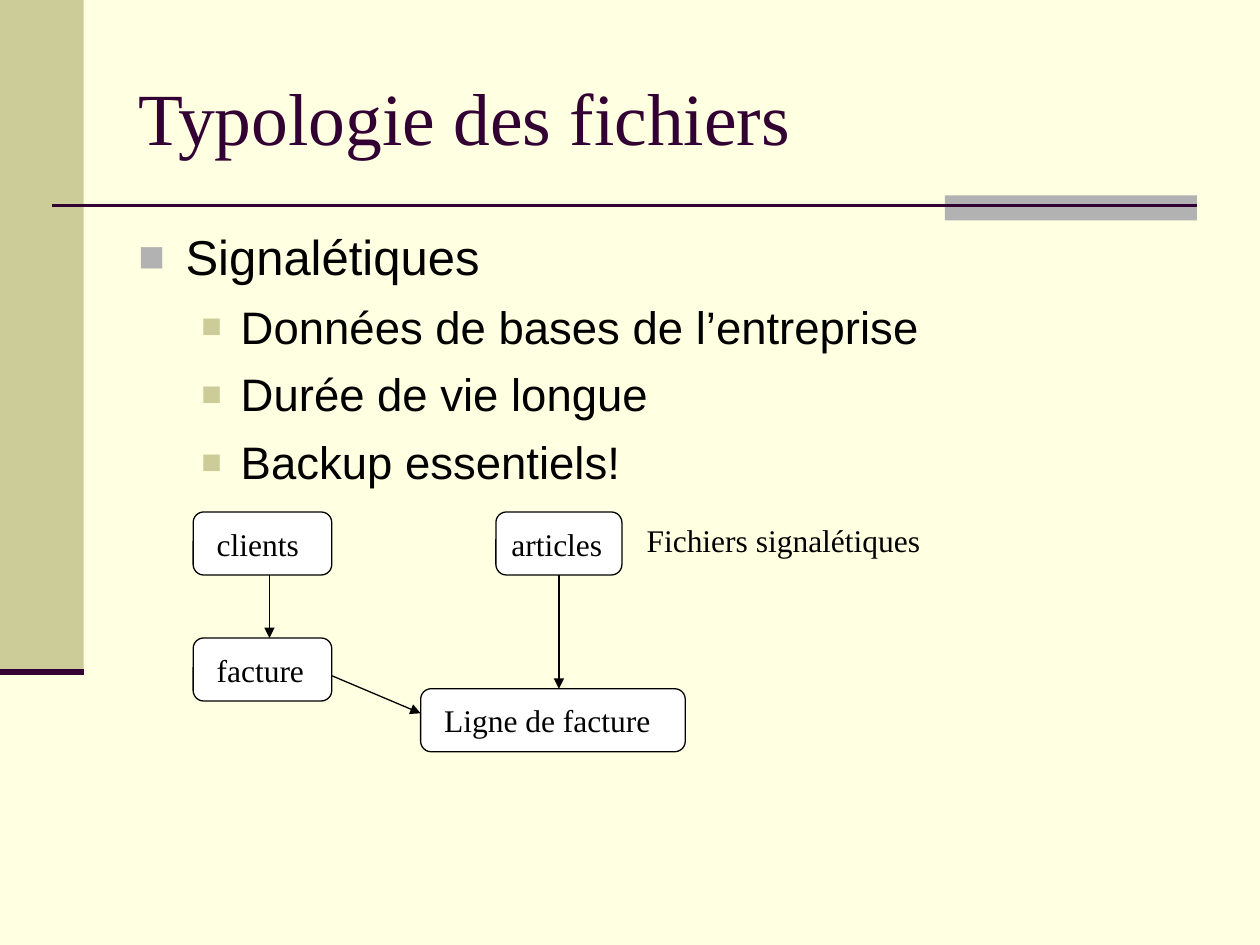
from dataclasses import dataclass

from lxml.etree import SubElement
from pptx import Presentation
from pptx.dml.color import RGBColor
from pptx.enum.shapes import MSO_CONNECTOR as Connector, MSO_SHAPE as Shape
from pptx.enum.text import MSO_ANCHOR as Anchor
from pptx.oxml.ns import qn
from pptx.util import Pt


@dataclass(frozen=True)
class Theme:
    background: str = "FFFFE1"
    olive: str = "CCCC99"
    grey: str = "B2B2B2"
    plum: str = "330033"
    black: str = "000000"
    white: str = "FFFFFF"
    serif: str = "Times New Roman"
    sans: str = "Arial"
    title_size: float = 42
    topic_size: float = 28
    point_size: float = 26
    label_size: float = 18


THEME = Theme()


def color(value):
    return RGBColor.from_string(value)


def add_block(slide, box, fill, line=None, preset=Shape.RECTANGLE):
    shape = slide.shapes.add_shape(preset, *map(Pt, box))
    shape.shadow.inherit = False
    shape.fill.solid()
    shape.fill.fore_color.rgb = color(fill)
    if line:
        shape.line.color.rgb = color(line)
        shape.line.width = Pt(0.75)
    else:
        shape.line.fill.background()
    return shape


def add_line(slide, start, end, line, width, arrow=False):
    connector = slide.shapes.add_connector(Connector.STRAIGHT, *map(Pt, (*start, *end)))
    connector.line.color.rgb = color(line)
    connector.line.width = Pt(width)
    if arrow:
        SubElement(connector.line._get_or_add_ln(), qn("a:tailEnd"), type="triangle")
    SubElement(connector._element.spPr, qn("a:effectLst"))
    return connector


def add_frame(slide, box):
    frame = slide.shapes.add_textbox(*map(Pt, box)).text_frame
    frame.word_wrap = True
    return frame


def write(paragraph, text, *, size, font=THEME.serif, ink=THEME.black, before=0):
    paragraph.text = text
    paragraph.space_before = Pt(before)
    paragraph.font.size = Pt(size)
    paragraph.font.name = font
    paragraph.font.color.rgb = color(ink)


def set_bullet(paragraph, ink, percent, margin, hanging):
    properties = paragraph._p.get_or_add_pPr()
    properties.set("marL", str(Pt(margin)))
    properties.set("indent", str(-Pt(hanging)))
    bullet_color = SubElement(properties, qn("a:buClr"))
    SubElement(bullet_color, qn("a:srgbClr"), val=ink)
    SubElement(properties, qn("a:buSzPct"), val=str(percent * 1000))
    SubElement(properties, qn("a:buFont"), typeface=THEME.sans)
    SubElement(properties, qn("a:buChar"), char="■")


def draw_decoration(slide, box):
    """Side band, title rule and grey accent."""
    left, top, width, height = box
    band_bottom = top + 384
    rule = top + 117.4
    add_block(slide, (left, top, 47.8, band_bottom - top), THEME.olive)
    add_block(slide, (left + width - 180, top + 111.6, 144, 14.4), THEME.grey)
    add_line(slide, (left + 30, rule), (left + width - 36, rule), THEME.plum, 1.5)
    add_line(slide, (left, band_bottom), (left + 48, band_bottom), THEME.plum, 3.5)


def draw_title(slide, box):
    frame = add_frame(slide, box)
    frame.vertical_anchor = Anchor.MIDDLE
    write(frame.paragraphs[0], "Typologie des fichiers", size=THEME.title_size, ink=THEME.plum)


def draw_outline(slide, box, topic, points):
    frame = add_frame(slide, box)
    heading = frame.paragraphs[0]
    set_bullet(heading, THEME.grey, 90, 27, 27)
    write(heading, topic, size=THEME.topic_size, font=THEME.sans)
    for point in points:
        paragraph = frame.add_paragraph()
        paragraph.level = 1
        set_bullet(paragraph, THEME.olive, 75, 58.5, 22.5)
        write(paragraph, point, size=THEME.point_size, font=THEME.sans, before=7.5)


def draw_file(slide, box, name, inset):
    shape = add_block(slide, box, THEME.white, THEME.black, Shape.ROUNDED_RECTANGLE)
    frame = shape.text_frame
    frame.word_wrap = False
    frame.vertical_anchor = Anchor.MIDDLE
    frame.margin_left = Pt(inset)
    write(frame.paragraphs[0], name, size=THEME.label_size)
    frame.paragraphs[0].alignment = 1
    return shape


def draw_file_diagram(slide, box):
    left, top, width, height = box
    file_height = 36
    invoice_top = top + 72
    line_left, line_top = left + 130, top + height - file_height
    articles_left, articles_width = left + 173, 72
    draw_file(slide, (line_left, line_top, 151.2, file_height), "Ligne de facture", 11.7)
    draw_file(slide, (left, invoice_top, 79.2, file_height), "facture", 11.7)
    draw_file(slide, (left, top, 79.2, file_height), "clients", 11.7)
    articles = draw_file(
        slide, (articles_left, top, articles_width, file_height), "articles", 7.2)

    client_x = left + 43.6
    articles_x = articles_left + articles_width / 2
    bottom = top + file_height
    add_line(slide, (client_x, bottom), (client_x, invoice_top), THEME.black, 0.75, arrow=True)
    add_line(slide, (left + 79.4, invoice_top + 21.6), (line_left, line_top + 14),
             THEME.black, 0.75, arrow=True)
    article_arrow = add_line(slide, (articles_x, bottom), (articles_x, line_top),
                             THEME.black, 0.75, arrow=True)
    article_arrow.begin_connect(articles, 2)

    caption = add_frame(slide, (left + width - 180, top + 1.5, 180, 43.2))
    write(caption.paragraphs[0], "Fichiers signalétiques", size=THEME.label_size)


def main():
    presentation = Presentation()
    presentation.slide_width, presentation.slide_height = Pt(720), Pt(540)
    slide = presentation.slides.add_slide(presentation.slide_layouts[6])
    slide.background.fill.solid()
    slide.background.fill.fore_color.rgb = color(THEME.background)
    draw_decoration(slide, (0, 0, 720, 540))
    draw_title(slide, (72, 21.6, 612, 90))
    draw_outline(slide, (72, 126, 612, 356.4), "Signalétiques", [
        "Données de bases de l’entreprise",
        "Durée de vie longue",
        "Backup essentiels!",
    ])
    draw_file_diagram(slide, (110.4, 292.6, 432, 137))
    presentation.save("out.pptx")


if __name__ == "__main__":
    main()
